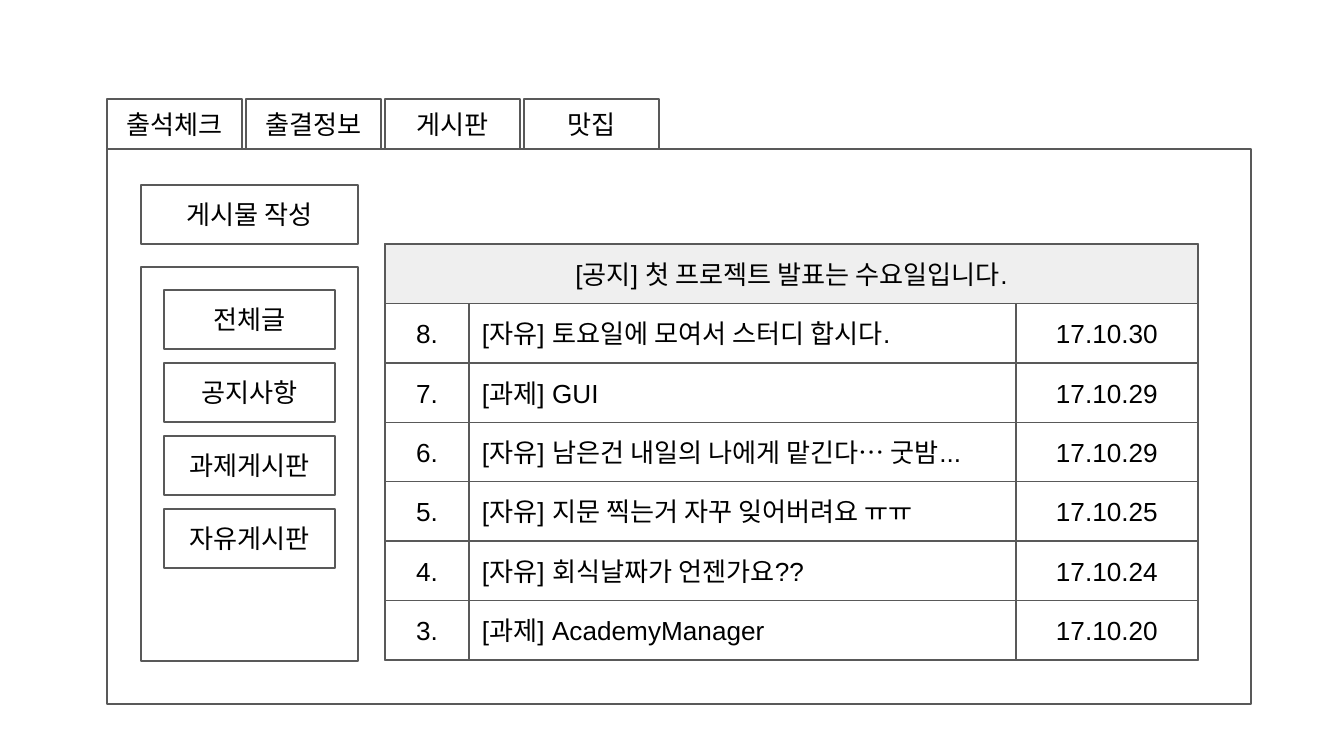
from pptx import Presentation
from pptx.dml.color import RGBColor
from pptx.enum.shapes import MSO_SHAPE
from pptx.enum.text import MSO_ANCHOR, PP_ALIGN
from pptx.util import Emu, Pt

RECTANGLE = MSO_SHAPE.RECTANGLE
MIDDLE = MSO_ANCHOR.MIDDLE
LEFT, CENTER = PP_ALIGN.LEFT, PP_ALIGN.CENTER

WHITE = RGBColor(0xFF, 0xFF, 0xFF)
LIGHT_GRAY = RGBColor(0xEF, 0xEF, 0xEF)
DARK_GRAY = RGBColor(0x59, 0x59, 0x59)
BLACK = RGBColor(0x00, 0x00, 0x00)

EMU_PER_PIXEL = 914400 / 134.4
SLIDE_WIDTH, SLIDE_HEIGHT = 1344, 756


def pixels(length):
    return Emu(round(length * EMU_PER_PIXEL))


class Wireframe:
    """Draws outlined boxes on one slide in a shared style."""

    font_format = {"name": "Arial", "size": Pt(14)}
    frame_format = {
        "word_wrap": True,
        "vertical_anchor": MIDDLE,
        "margin_left": pixels(13),
        "margin_right": pixels(13),
        "margin_top": pixels(13),
        "margin_bottom": pixels(13),
    }

    def __init__(self, slide):
        self.slide = slide

    def panel(self, left, top, width, height, fill=WHITE):
        box = map(pixels, (left, top, width, height))
        shape = self.slide.shapes.add_shape(RECTANGLE, *box)
        shape.shadow.inherit = False
        shape.fill.solid()
        shape.fill.fore_color.rgb = fill
        shape.line.color.rgb = DARK_GRAY
        shape.line.width = Pt(0.75)
        return shape

    def label(self, text, left, top, width, height, fill=WHITE, align=CENTER):
        text_frame = self.panel(left, top, width, height, fill).text_frame
        for name, value in self.frame_format.items():
            setattr(text_frame, name, value)
        paragraph = text_frame.paragraphs[0]
        paragraph.alignment = align
        run = paragraph.add_run()
        run.text = text
        for name, value in self.font_format.items():
            setattr(run.font, name, value)
        run.font.color.rgb = BLACK


presentation = Presentation()
presentation.slide_width = pixels(SLIDE_WIDTH)
presentation.slide_height = pixels(SLIDE_HEIGHT)
wireframe = Wireframe(presentation.slides.add_slide(presentation.slide_layouts[6]))

# Tabs and the window below them
WINDOW_LEFT, WINDOW_TOP = 107, 149
TAB_WIDTH, TAB_HEIGHT, TAB_PITCH = 135, 50, 139
for index, text in enumerate(["출석체크", "출결정보", "게시판", "맛집"]):
    wireframe.label(text, WINDOW_LEFT + index * TAB_PITCH,
                    WINDOW_TOP - TAB_HEIGHT, TAB_WIDTH, TAB_HEIGHT)
wireframe.panel(WINDOW_LEFT, WINDOW_TOP, 1144, 555)

# Sidebar with the write button and the board menu
SIDEBAR_LEFT, SIDEBAR_WIDTH = 141, 217
BUTTON_HEIGHT = 59
MENU_TOP, MENU_PITCH, MENU_INDENT = 290, 73, 23
wireframe.label("게시물 작성", SIDEBAR_LEFT, 185, SIDEBAR_WIDTH, BUTTON_HEIGHT)
wireframe.panel(SIDEBAR_LEFT, 267, SIDEBAR_WIDTH, 394)
for index, text in enumerate(["전체글", "공지사항", "과제게시판", "자유게시판"]):
    wireframe.label(text, SIDEBAR_LEFT + MENU_INDENT, MENU_TOP + index * MENU_PITCH,
                    SIDEBAR_WIDTH - 2 * MENU_INDENT, BUTTON_HEIGHT)

# Post list: a notice row, then number, title and date
POSTS = [
    ("8.", "[자유] 토요일에 모여서 스터디 합시다.", "17.10.30"),
    ("7.", "[과제] GUI", "17.10.29"),
    ("6.", "[자유] 남은건 내일의 나에게 맡긴다… 굿밤...", "17.10.29"),
    ("5.", "[자유] 지문 찍는거 자꾸 잊어버려요 ㅠㅠ", "17.10.25"),
    ("4.", "[자유] 회식날짜가 언젠가요??", "17.10.24"),
    ("3.", "[과제] AcademyManager", "17.10.20"),
]
BOARD_LEFT, BOARD_TOP, BOARD_HEIGHT = 385, 244, 416
COLUMN_WIDTHS = (84, 547, 182)
COLUMN_ALIGNS = (CENTER, LEFT, CENTER)
BOARD_WIDTH = sum(COLUMN_WIDTHS)
ROW_HEIGHT = BOARD_HEIGHT / (len(POSTS) + 1)

wireframe.panel(BOARD_LEFT, BOARD_TOP, BOARD_WIDTH, BOARD_HEIGHT)
wireframe.label("[공지] 첫 프로젝트 발표는 수요일입니다.", BOARD_LEFT, BOARD_TOP,
                BOARD_WIDTH, ROW_HEIGHT, fill=LIGHT_GRAY)
for row, post in enumerate(POSTS, start=1):
    left = BOARD_LEFT
    for text, width, align in zip(post, COLUMN_WIDTHS, COLUMN_ALIGNS):
        wireframe.label(text, left, BOARD_TOP + row * ROW_HEIGHT,
                        width, ROW_HEIGHT, align=align)
        left += width

presentation.save("out.pptx")
